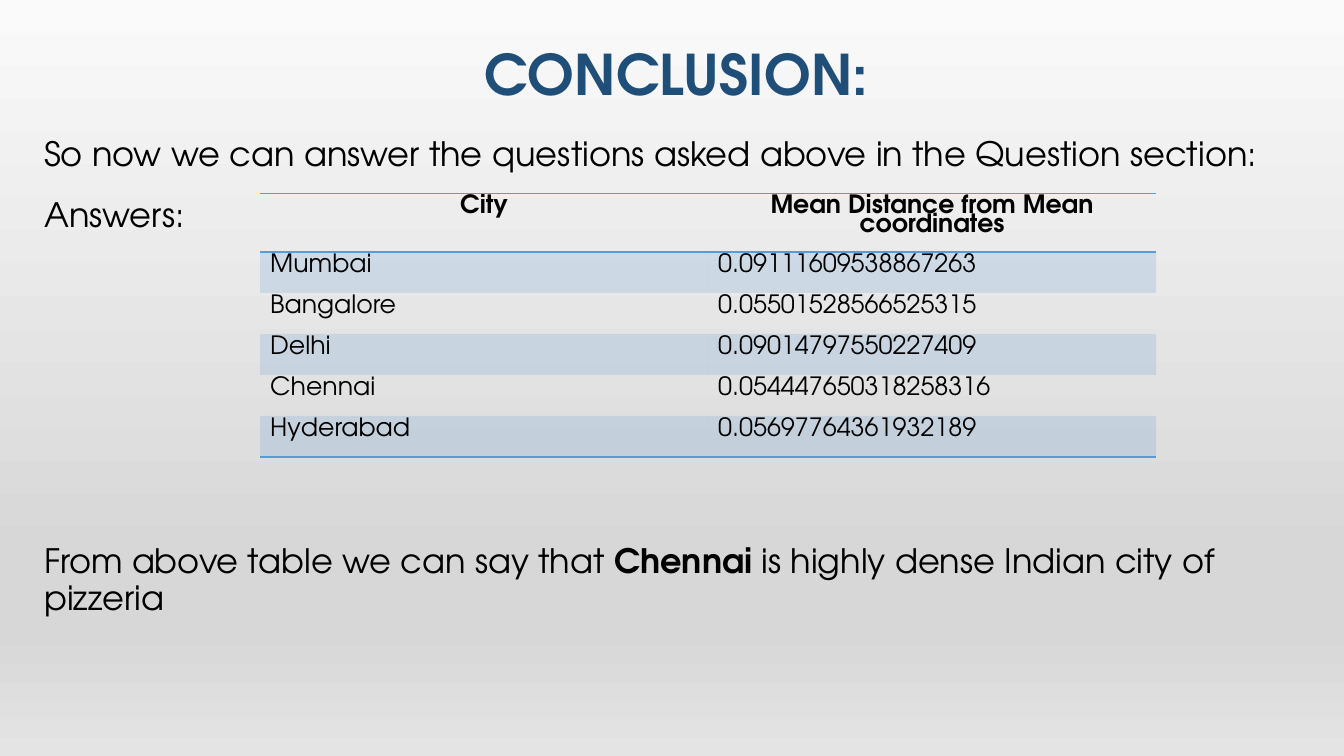
from typing import NamedTuple

from lxml import etree
from pptx import Presentation
from pptx.dml.color import RGBColor
from pptx.enum.shapes import MSO_SHAPE
from pptx.enum.text import MSO_ANCHOR, PP_ALIGN
from pptx.oxml import parse_xml
from pptx.oxml.ns import nsdecls, qn
from pptx.util import Pt

RECT = MSO_SHAPE.RECTANGLE
TOP, BOTTOM = MSO_ANCHOR.TOP, MSO_ANCHOR.BOTTOM
LEFT, CENTER = PP_ALIGN.LEFT, PP_ALIGN.CENTER

FONT = "TeX Gyre Adventor"
BLACK, NAVY, BLUE = "000000", "1F4E79", "5B9BD5"
WIDTH, HEIGHT = 960, 540
TEXT_LEFT, TEXT_WIDTH = 20.9, 924.5
NO_STYLE = "{2D5ABB26-0587-4C30-8999-92F81FD0307C}"
HEADER_HEIGHT, ROW_HEIGHT = 40.8, 29.3
COLUMN_WIDTH = 320


class Stop(NamedTuple):
    percent: int
    color: str


class CityDistance(NamedTuple):
    city: str
    distance: str


class Para(NamedTuple):
    runs: list[tuple[str, bool]]
    before: float


STOPS = [Stop(0, "FAFAFA"), Stop(74, "D7D7D7"), Stop(83, "D7D7D7"), Stop(100, "E4E4E4")]

HEADER = CityDistance("City", "Mean Distance from Mean coordinates")
CITIES = [
    CityDistance("Mumbai", "0.09111609538867263"),
    CityDistance("Bangalore", "0.05501528566525315"),
    CityDistance("Delhi", "0.09014797550227409"),
    CityDistance("Chennai", "0.054447650318258316"),
    CityDistance("Hyderabad", "0.05697764361932189"),
]

BODY = [
    Para([("So now we can answer the questions asked above in the Question section:", False)], 0),
    Para([("Answers:", False)], 18),
    Para([("From above table we can say that ", False), ("Chennai", True),
          (" is highly dense Indian city of pizzeria", False)], 221.5),
]


def rgb(color: str) -> RGBColor:
    return RGBColor.from_string(color)


def add_text(p, text: str, *, size: float, color: str = BLACK, bold: bool = False,
             align=LEFT, spacing: float = 0.9) -> None:
    p.alignment = align
    p.line_spacing = spacing
    r = p.add_run()
    r.text = text
    r.font.name = FONT
    r.font.size = Pt(size)
    r.font.bold = bold
    r.font.color.rgb = rgb(color)


def add_frame(s, top: float, height: float, anchor):
    sp = s.shapes.add_textbox(Pt(TEXT_LEFT), Pt(top), Pt(TEXT_WIDTH), Pt(height))
    tf = sp.text_frame
    tf.word_wrap = True
    tf.vertical_anchor = anchor
    return tf


def add_backdrop(s) -> None:
    sp = s.shapes.add_shape(RECT, 0, 0, Pt(WIDTH), Pt(HEIGHT))
    sp.shadow.inherit = False
    sp.line.fill.background()
    sp.fill.gradient()
    sp.fill.gradient_angle = 270
    stop_list = next(sp.element.iter(qn("a:gsLst")))
    for old in list(stop_list):
        stop_list.remove(old)
    for stop in STOPS:
        gs = etree.SubElement(stop_list, qn("a:gs"), pos=str(stop.percent * 1000))
        etree.SubElement(gs, qn("a:srgbClr"), val=stop.color)


def add_border(cell, side: str) -> None:
    line = parse_xml(
        f'<a:{side} {nsdecls("a")} w="12700"><a:solidFill>'
        f'<a:srgbClr val="{BLUE}"/></a:solidFill></a:{side}>')
    cell._tc.get_or_add_tcPr().insert(0, line)


def fill_cell(cell, shaded: bool) -> None:
    if not shaded:
        cell.fill.background()
        return
    cell.fill.solid()
    cell.fill.fore_color.rgb = rgb(BLUE)
    color = next(cell._tc.tcPr.iter(qn("a:srgbClr")))
    etree.SubElement(color, qn("a:alpha"), val="20000")


def add_city_table(s) -> None:
    rows = [HEADER, *CITIES]
    last = len(rows) - 1
    height = HEADER_HEIGHT + last * ROW_HEIGHT
    table = s.shapes.add_table(len(rows), 2, Pt(185.8), Pt(138.2),
                               Pt(2 * COLUMN_WIDTH), Pt(height)).table
    next(table._tbl.iter(qn("a:tableStyleId"))).text = NO_STYLE
    table.horz_banding = False
    for column in table.columns:
        column.width = Pt(COLUMN_WIDTH)
    for i, row in enumerate(rows):
        is_header = i == 0
        table.rows[i].height = Pt(HEADER_HEIGHT if is_header else ROW_HEIGHT)
        for j, text in enumerate(row):
            cell = table.cell(i, j)
            add_text(cell.text_frame.paragraphs[0], text, size=18, bold=is_header,
                     align=CENTER if is_header else LEFT, spacing=0.8)
            fill_cell(cell, shaded=i % 2 == 1)
            if i in (0, last):
                add_border(cell, "lnB")
            if is_header:
                add_border(cell, "lnT")


def add_body(s) -> None:
    tf = add_frame(s, 94.3, 419.8, TOP)
    for i, para in enumerate(BODY):
        p = tf.paragraphs[0] if i == 0 else tf.add_paragraph()
        p.space_before = Pt(para.before)
        p._p.get_or_add_pPr().set("marL", str(Pt(3.6)))
        for text, bold in para.runs:
            add_text(p, text, size=24, bold=bold)


def main() -> None:
    prs = Presentation()
    prs.slide_width, prs.slide_height = Pt(WIDTH), Pt(HEIGHT)
    s = prs.slides.add_slide(prs.slide_layouts[6])

    # Backdrop
    add_backdrop(s)

    # Title
    title = add_frame(s, 25.9, 54.7, BOTTOM)
    add_text(title.paragraphs[0], "CONCLUSION:", size=40, color=NAVY, bold=True, align=CENTER)

    # Answers and table
    add_body(s)
    add_city_table(s)

    prs.save("out.pptx")


if __name__ == "__main__":
    main()
